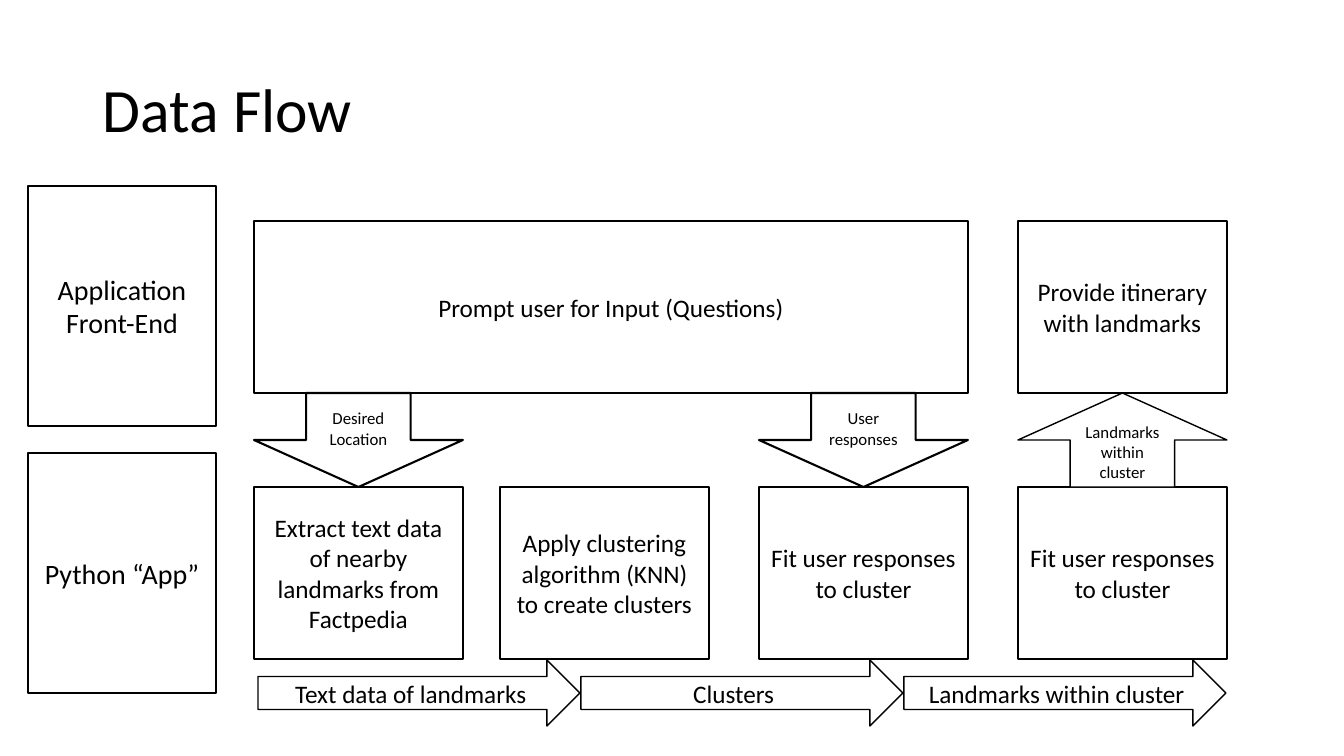
from pptx import Presentation
from pptx.dml.color import RGBColor
from pptx.enum.shapes import MSO_SHAPE
from pptx.enum.text import MSO_ANCHOR, PP_ALIGN
from pptx.util import Pt

TITLE = "Data Flow"
LAYERS = ["Application Front-End", "Python “App”"]
PROMPT = "Prompt user for Input (Questions)"
ITINERARY = "Provide itinerary with landmarks"
STEPS = [
    "Extract text data of nearby landmarks from Factpedia",
    "Apply clustering algorithm (KNN) to create clusters",
    "Fit user responses to cluster",
    "Fit user responses to cluster",
]
EXCHANGES = [
    (0, MSO_SHAPE.DOWN_ARROW, "Desired Location", 1.5),
    (2, MSO_SHAPE.DOWN_ARROW, "User responses", 1.5),
    (3, MSO_SHAPE.UP_ARROW, "Landmarks within cluster", 1),
]
FLOWS = ["Text data of landmarks", "Clusters", "Landmarks within cluster"]

BLACK = RGBColor(0, 0, 0)
WHITE = RGBColor(255, 255, 255)
FONT = "Calibri"
SCALE = 914400 / 100.8

COLUMNS = [254, 500, 759, 1018]
STEP_WIDTH, STEP_HEIGHT = 209, 172
FRONT_TOP, APP_TOP = 221, 487
EXCHANGE_TOP = FRONT_TOP + STEP_HEIGHT
LAYER_TOP, LAYER_PITCH = 186, 267
FLOW_LEFT, FLOW_TOP, FLOW_PITCH = 258, 660, 323


def emu(*pixels):
    return [round(pixel * SCALE) for pixel in pixels]


def write(shape, text, size, align, spacing=None):
    frame = shape.text_frame
    frame.word_wrap = True
    frame.vertical_anchor = MSO_ANCHOR.MIDDLE
    paragraph = frame.paragraphs[0]
    paragraph.alignment = align
    paragraph.line_spacing = spacing
    run = paragraph.add_run()
    run.text = text
    for name, value in {"name": FONT, "size": Pt(size)}.items():
        setattr(run.font, name, value)
    run.font.color.rgb = BLACK


def add_block(kind, box, text, size=18, line=1, filled=False):
    shape = slide.shapes.add_shape(kind, *emu(*box))
    shape.shadow.inherit = False
    if filled:
        shape.fill.solid()
        shape.fill.fore_color.rgb = WHITE
    else:
        shape.fill.background()
    shape.line.color.rgb = BLACK
    shape.line.width = Pt(line)
    write(shape, text, size, PP_ALIGN.CENTER)


presentation = Presentation()
presentation.slide_width, presentation.slide_height = emu(1344, 756)
slide = presentation.slides.add_slide(presentation.slide_layouts[6])

title = slide.shapes.add_textbox(*emu(93, 40, 1159, 146))
write(title, TITLE, 44, PP_ALIGN.LEFT, 0.9)

for row, text in enumerate(LAYERS):
    box = (28, LAYER_TOP + row * LAYER_PITCH, 188, 240)
    add_block(MSO_SHAPE.RECTANGLE, box, text, 20, 1.5)

prompt_width = COLUMNS[2] + STEP_WIDTH - COLUMNS[0]
front_end = [(COLUMNS[0], prompt_width, PROMPT), (COLUMNS[3], STEP_WIDTH, ITINERARY)]
for left, width, text in front_end:
    add_block(MSO_SHAPE.RECTANGLE, (left, FRONT_TOP, width, STEP_HEIGHT), text)

for left, text in zip(COLUMNS, STEPS):
    add_block(MSO_SHAPE.RECTANGLE, (left, APP_TOP, STEP_WIDTH, STEP_HEIGHT), text)

for column, kind, text, line in EXCHANGES:
    box = (COLUMNS[column], EXCHANGE_TOP, STEP_WIDTH, APP_TOP - EXCHANGE_TOP)
    add_block(kind, box, text, 12, line, True)

for index, text in enumerate(FLOWS):
    box = (FLOW_LEFT + index * FLOW_PITCH, FLOW_TOP, 322, 66)
    add_block(MSO_SHAPE.RIGHT_ARROW, box, text, filled=True)

presentation.save("out.pptx")
